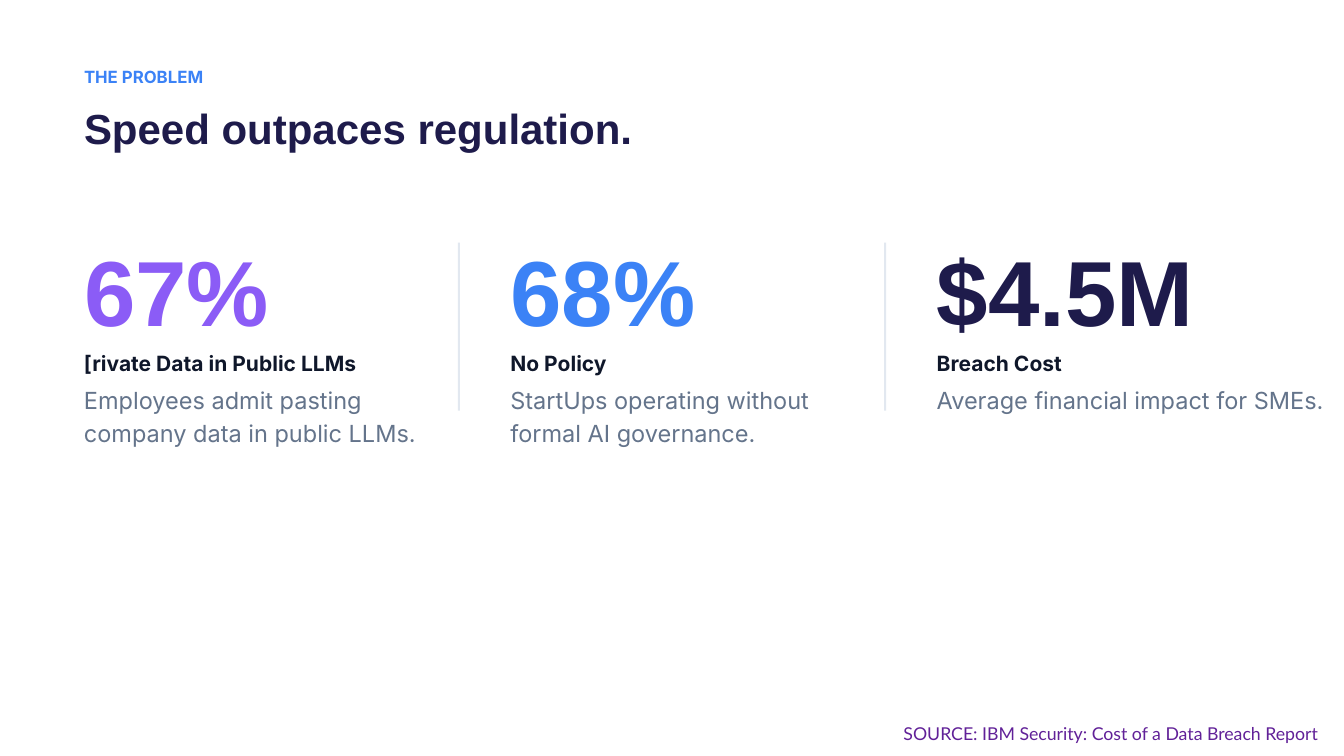
from pptx import Presentation
from pptx.dml.color import RGBColor
from pptx.enum.shapes import MSO_SHAPE
from pptx.enum.text import MSO_ANCHOR, MSO_AUTO_SIZE, PP_ALIGN
from pptx.util import Inches, Pt

INDIGO, BLUE, PURPLE = "1E1B4B", "3B82F6", "8B5CF6"
MARGIN, COLUMN_STEP, COLUMN_WIDTH = 6.25, 31.72, 30.1

STATISTICS = [
    ("67%", PURPLE, "[rivate Data in Public LLMs", 20.35,
     "Employees admit pasting company data in public LLMs.", 24.85, 8.53),
    ("68%", BLUE, "No Policy", COLUMN_WIDTH,
     "StartUps operating without formal AI governance.", 24.85, 8.53),
    ("$4.5M", INDIGO, "Breach Cost", COLUMN_WIDTH,
     "Average financial impact for SMEs.", COLUMN_WIDTH, 4.18),
]


def color(value):
    """Turn a hex string into a colour."""
    return RGBColor.from_string(value)


class SlideBuilder:
    """Place styled elements on a slide, with lengths in percent of its size."""

    STYLES = {
        "eyebrow": {"name": "Inter", "size": 18, "bold": True, "color": BLUE, "line": 21.6},
        "title": {"name": "Arial", "size": 45, "bold": True, "color": INDIGO, "line": 54},
        "number": {"name": "Arial", "size": 99, "bold": True, "color": INDIGO, "line": 99},
        "label": {"name": "Inter", "size": 22.5, "bold": True, "color": "0F172A", "line": 27},
        "detail": {"name": "Inter", "size": 25.2, "bold": False, "color": "64748B", "line": 35.3},
        "source": {"name": "Lato", "size": 19, "bold": False, "color": "612198", "line": 26.6},
    }

    def __init__(self, presentation):
        """Add a title-only slide to the presentation."""
        self.width = presentation.slide_width
        self.height = presentation.slide_height
        self.slide = presentation.slides.add_slide(presentation.slide_layouts[5])

    def area(self, left, top, width, height):
        """Convert percentages to slide lengths."""
        sides = (self.width, self.height) * 2
        return [int(side * share / 100) for side, share in zip(sides, (left, top, width, height))]

    def fill_text(self, shape, text, style, align=PP_ALIGN.LEFT, **changes):
        """Put one styled paragraph into a shape."""
        values = {**self.STYLES[style], **changes}
        frame = shape.text_frame
        frame.text = text
        frame_format = {
            "margin_left": 0, "margin_top": 0, "margin_right": 0, "margin_bottom": 0,
            "word_wrap": True, "vertical_anchor": MSO_ANCHOR.TOP,
            "auto_size": MSO_AUTO_SIZE.SHAPE_TO_FIT_TEXT,
        }
        for name, value in frame_format.items():
            setattr(frame, name, value)
        paragraph = frame.paragraphs[0]
        paragraph.alignment = align
        paragraph.line_spacing = Pt(values["line"])
        font = paragraph.runs[0].font
        font_format = {"name": values["name"], "size": Pt(values["size"]), "bold": values["bold"]}
        for name, value in font_format.items():
            setattr(font, name, value)
        font.color.rgb = color(values["color"])

    def title(self, text, *area):
        """Fill and move the title placeholder."""
        shape = self.slide.shapes.title
        for name, value in zip(("left", "top", "width", "height"), self.area(*area)):
            setattr(shape, name, value)
        self.fill_text(shape, text, "title")

    def text(self, text, style, *area, **changes):
        """Add a text box."""
        shape = self.slide.shapes.add_textbox(*self.area(*area))
        self.fill_text(shape, text, style, **changes)

    def divider(self, *area):
        """Add a thin bar between two columns."""
        shape = self.slide.shapes.add_shape(MSO_SHAPE.RECTANGLE, *self.area(*area))
        shape.shadow.inherit = False
        shape.fill.solid()
        shape.fill.fore_color.rgb = color("E2E8F0")
        shape.line.fill.background()


def main():
    """Build the slide and save it."""
    presentation = Presentation()
    presentation.slide_width = Inches(20)
    presentation.slide_height = Inches(11.25)
    builder = SlideBuilder(presentation)

    for gap in range(len(STATISTICS) - 1):
        builder.divider(34.06 + gap * COLUMN_STEP, 32.09, 0.16, 22.22)

    builder.text("THE PROBLEM", "eyebrow", MARGIN, 8.89, 93.75, 2.78)
    builder.title("Speed outpaces regulation.", MARGIN, 13.6, 93.75, 7.4)

    for index, statistic in enumerate(STATISTICS):
        number, tint, label, label_width, detail, detail_width, detail_height = statistic
        left = MARGIN + index * COLUMN_STEP
        builder.text(number, "number", left, 33.42, COLUMN_WIDTH, 10.93, color=tint)
        builder.text(label, "label", left, 46.4, label_width, 3.47)
        builder.text(detail, "detail", left, 50.49, detail_width, detail_height)

    builder.text("SOURCE: IBM Security: Cost of a Data Breach Report", "source",
                 65.95, 95.2, 33.4, 3.11, align=PP_ALIGN.CENTER)
    presentation.save("out.pptx")


if __name__ == "__main__":
    main()
